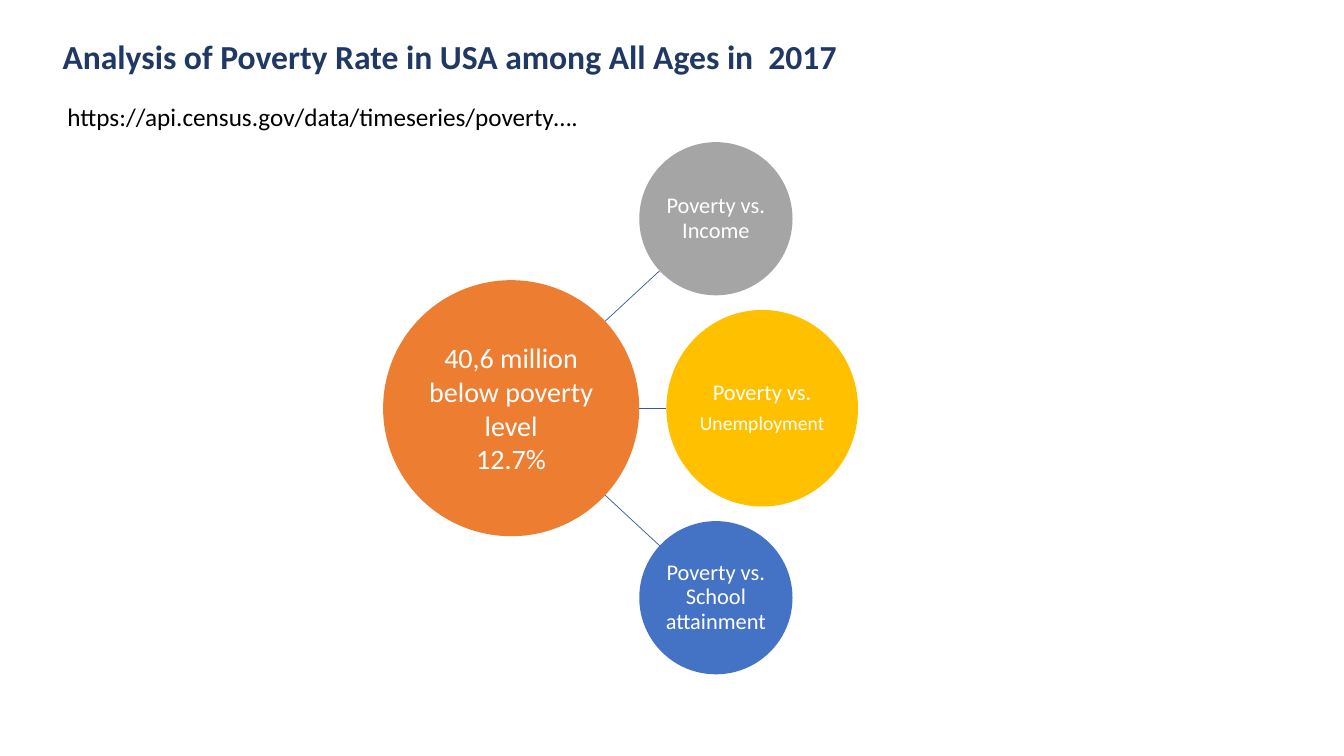
from math import hypot
from lxml import etree
from pptx import Presentation
from pptx.dml.color import RGBColor
from pptx.enum import shapes, text
from pptx.util import Inches, Pt

NAVY = RGBColor(0x20, 0x38, 0x64)
BLACK = RGBColor(0, 0, 0)
WHITE = RGBColor(255, 255, 255)
LINE = RGBColor(0x36, 0x5B, 0x9D)
ORANGE = RGBColor(0xED, 0x7D, 0x31)
GREY = RGBColor(0xA5, 0xA5, 0xA5)
GOLD = RGBColor(0xFF, 0xC0, 0x00)
BLUE = RGBColor(0x44, 0x72, 0xC4)

TITLE = "Analysis of Poverty Rate in USA among All Ages in  2017"
LINK = "https://api.census.gov/data/timeseries/poverty…."
HUB = (5.07, 4.05, 2.54, 2.54, ORANGE,
       [("40,6 million below poverty level", 20), ("12.7%", 20)], 1, 0)
TOPICS = [
    (7.1, 2.17, 1.52, 1.52, GREY, [("Poverty vs. Income", 16)], 0.9, 5.6),
    (7.56, 4.05, 1.9, 1.95, GOLD,
     [("Poverty vs.", 16), ("Unemployment", 14)], 0.9, 5.6),
    (7.1, 5.93, 1.52, 1.52, BLUE,
     [("Poverty vs. School attainment", 16)], 0.9, 5.6),
]


def style(item, **vals):
    for name, val in vals.items():
        setattr(item, name, val)


def write(shape, lines, color, bold=False, align=text.PP_ALIGN.LEFT,
          lead=1, after=0):
    frame = shape.text_frame
    frame.text = "\n".join(line for line, size in lines)
    for para, (line, size) in zip(frame.paragraphs, lines):
        style(para, alignment=align, line_spacing=lead,
              space_before=Pt(0), space_after=Pt(after))
        style(para.font, name="Calibri", size=Pt(size), bold=bold)
        para.font.color.rgb = color


def place(shape, box):
    names = ("left", "top", "width", "height")
    style(shape, **dict(zip(names, map(Inches, box))))
    style(shape.text_frame, word_wrap=True,
          auto_size=text.MSO_AUTO_SIZE.NONE,
          vertical_anchor=text.MSO_ANCHOR.TOP)


def link(slide, hub, topic):
    x, y, dx, dy = hub[0], hub[1], topic[0] - hub[0], topic[1] - hub[1]
    span = hypot(dx, dy)
    near = hub[2] / 2 / span
    far = 1 - topic[2] / 2 / span
    ends = [x + dx * near, y + dy * near, x + dx * far, y + dy * far]
    line = slide.shapes.add_connector(
        shapes.MSO_CONNECTOR.STRAIGHT, *map(Inches, ends))
    line.line.color.rgb = LINE
    line.line.width = Pt(0.5)
    props = line._element.spPr
    tag = "{http://schemas.openxmlformats.org/drawingml/2006/main}effectLst"
    etree.SubElement(props, tag)


def circle(slide, x, y, w, h, fill, lines, lead, after):
    box = (x - w / 2, y - h / 2, w, h)
    disc = slide.shapes.add_shape(shapes.MSO_SHAPE.OVAL, *map(Inches, box))
    disc.shadow.inherit = False
    disc.fill.solid()
    disc.fill.fore_color.rgb = fill
    disc.line.fill.background()
    pad = Inches(0.01)
    style(disc.text_frame, word_wrap=True,
          vertical_anchor=text.MSO_ANCHOR.MIDDLE, margin_left=pad,
          margin_top=pad, margin_right=pad, margin_bottom=pad)
    write(disc, lines, WHITE, align=text.PP_ALIGN.CENTER,
          lead=lead, after=after)


def main():
    deck = Presentation()
    style(deck, slide_width=Inches(13.33), slide_height=Inches(7.5))
    slide = deck.slides.add_slide(deck.slide_layouts[5])
    head = slide.shapes.title
    place(head, (0.52, 0.31, 11.84, 0.5))
    write(head, [(TITLE, 24)], NAVY, bold=True)
    box = (0.57, 0.96, 6.1, 0.4)
    note = slide.shapes.add_textbox(*map(Inches, box))
    place(note, box)
    write(note, [(LINK, 18)], BLACK)
    for topic in TOPICS:
        link(slide, HUB, topic)
    for item in [HUB] + TOPICS:
        circle(slide, *item)
    deck.save("out.pptx")


if __name__ == "__main__":
    main()
